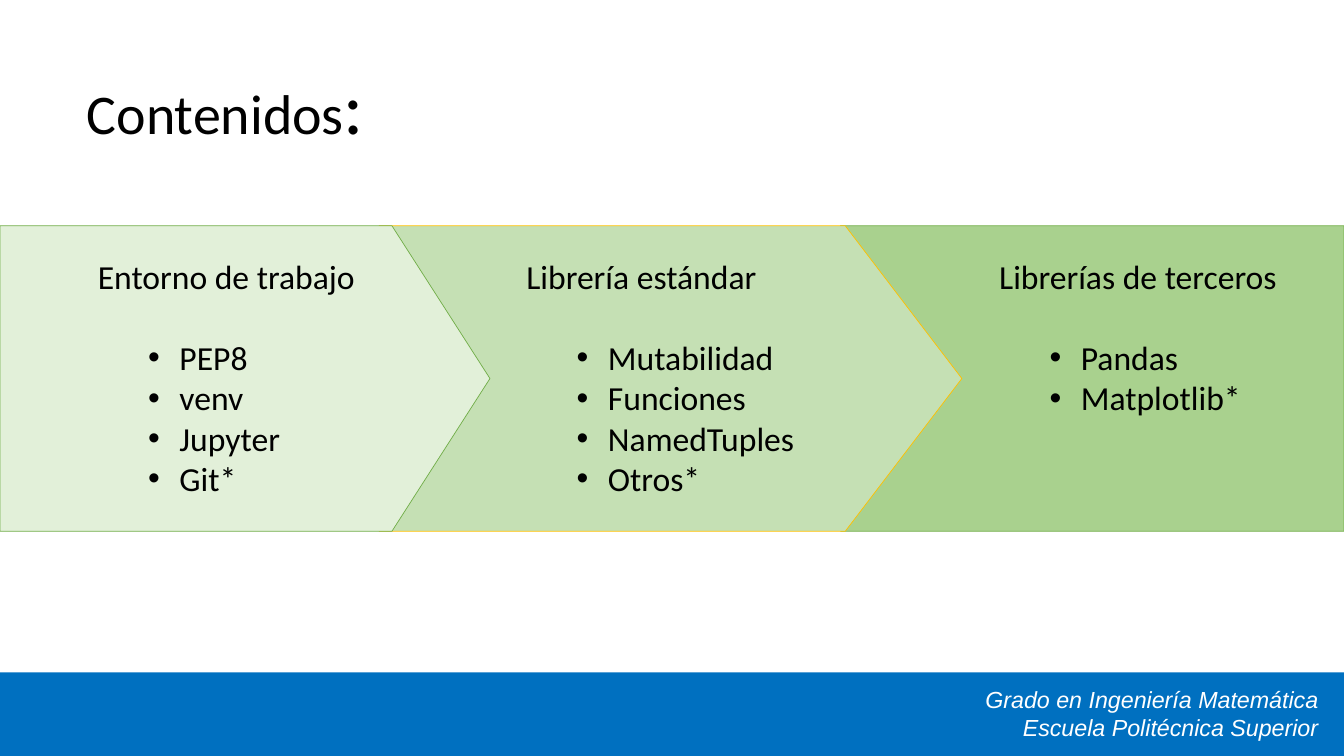
from pptx import Presentation
from pptx.dml.color import RGBColor
from pptx.enum.shapes import MSO_SHAPE
from pptx.enum.text import MSO_ANCHOR, MSO_AUTO_SIZE, PP_ALIGN
from pptx.oxml.ns import qn
from pptx.util import Inches, Pt
from lxml import etree

WIDE, HIGH = 13.33, 7.5
COMPARISON = 4  # layout with a title and four bodies
TOP, DEPTH = 2.24, 3.03

# Left, width, turn, fill, line; from back to front
ARROWS = [
    (7.09, 6.24, 90, "A9D18E", "70AD47"),
    (3.76, 5.78, 270, "C5E0B4", "FFC000"),
    (0, 4.86, 270, "E2F0D9", "70AD47"),
]

# Left of the text, heading, topics
STAGES = [
    (0.87, "Entorno de trabajo", ["PEP8", "venv", "Jupyter", "Git*"]),
    (5.12, "Librería estándar",
     ["Mutabilidad", "Funciones", "NamedTuples", "Otros*"]),
    (9.81, "Librerías de terceros", ["Pandas", "Matplotlib*"]),
]


def color(code):
    return RGBColor.from_string(code)


def place(shape, left, top, width, height):
    shape.left, shape.top = Inches(left), Inches(top)
    shape.width, shape.height = Inches(width), Inches(height)


def style(font, face, size, code):
    font.name, font.size, font.bold = face, Pt(size), False
    font.color.rgb = color(code)


def indent(par, left, hang, bullet=None):
    props = par._p.get_or_add_pPr()
    props.set("marL", str(Inches(left)))
    props.set("indent", str(Inches(-hang)))
    if bullet:
        etree.SubElement(props, qn("a:buFont")).set("typeface", "Arial")
        etree.SubElement(props, qn("a:buChar")).set("char", bullet)
    else:
        etree.SubElement(props, qn("a:buNone"))


def footer(slide, left, top, width, height):
    # Blue band
    band = slide.shapes.add_shape(
        MSO_SHAPE.RECTANGLE, Inches(left), Inches(top),
        Inches(width), Inches(height))
    band.shadow.inherit = False
    band.fill.solid()
    band.fill.fore_color.rgb = color("0070C0")
    band.line.fill.background()

    # Degree and school
    box = slide.shapes.add_textbox(
        Inches(left + 7.28), Inches(top + 0.08), Inches(5.89), Inches(0.66))
    frame = box.text_frame
    frame.word_wrap = True
    frame.text = "Grado en Ingeniería Matemática\nEscuela Politécnica Superior"
    for par in frame.paragraphs:
        par.alignment = PP_ALIGN.RIGHT
        style(par.font, "Arial", 16.6, "FFFFFF")
        par.font.italic = True


def heading(title, left, top, width, height):
    place(title, left, top, width, height)
    frame = title.text_frame
    frame.auto_size = MSO_AUTO_SIZE.NONE
    frame.vertical_anchor = MSO_ANCHOR.MIDDLE
    par = frame.paragraphs[0]
    par.alignment, par.line_spacing = PP_ALIGN.LEFT, 0.9
    for text, size in [("Contenidos", 40), (":", 54)]:
        run = par.add_run()
        run.text = text
        style(run.font, "Calibri", size, "000000")


def arrow(slide, left, top, width, height, turn, fill, line):
    # The preset points down, so its sides swap when it is turned
    shift = (width - height) / 2
    shape = slide.shapes.add_shape(
        MSO_SHAPE.FLOWCHART_OFFPAGE_CONNECTOR, Inches(left + shift),
        Inches(top - shift), Inches(height), Inches(width))
    shape.rotation = turn
    shape.shadow.inherit = False
    shape.fill.solid()
    shape.fill.fore_color.rgb = color(fill)
    shape.line.color.rgb = color(line)
    shape.line.width = Pt(0.5)
    return shape


def stage(body, left, top, width, height, name, topics):
    place(body, left, top, width, height)
    frame = body.text_frame
    frame.word_wrap = True
    frame.auto_size = MSO_AUTO_SIZE.NONE
    frame.vertical_anchor = MSO_ANCHOR.TOP
    frame.text = "\n".join([name] + topics)
    for row, par in enumerate(frame.paragraphs):
        style(par.font, "Calibri", 24, "000000")
        par.alignment = PP_ALIGN.LEFT
        par.space_before = Pt(29 if row == 1 else 0)
        if row:
            par.level = 1
            indent(par, 0.81, 0.31, "•")
        else:
            indent(par, 0, 0)


def main():
    deck = Presentation()
    deck.slide_width, deck.slide_height = Inches(WIDE), Inches(HIGH)
    slide = deck.slides.add_slide(deck.slide_layouts[COMPARISON])
    title, *bodies = slide.placeholders

    footer(slide, 0, 6.67, WIDE, 0.83)
    heading(title, 0.76, 0.66, 5.41, 0.86)

    # Arrows go behind the placeholders
    for left, width, *look in ARROWS:
        shape = arrow(slide, left, TOP, width, DEPTH, *look)
        title._element.addprevious(shape._element)

    # Lists
    for body, (left, name, topics) in zip(bodies, STAGES):
        stage(body, left, TOP + 0.25, 3.19, 2.52, name, topics)
    for spare in bodies[len(STAGES):]:
        spare._element.getparent().remove(spare._element)

    deck.save("out.pptx")


if __name__ == "__main__":
    main()
